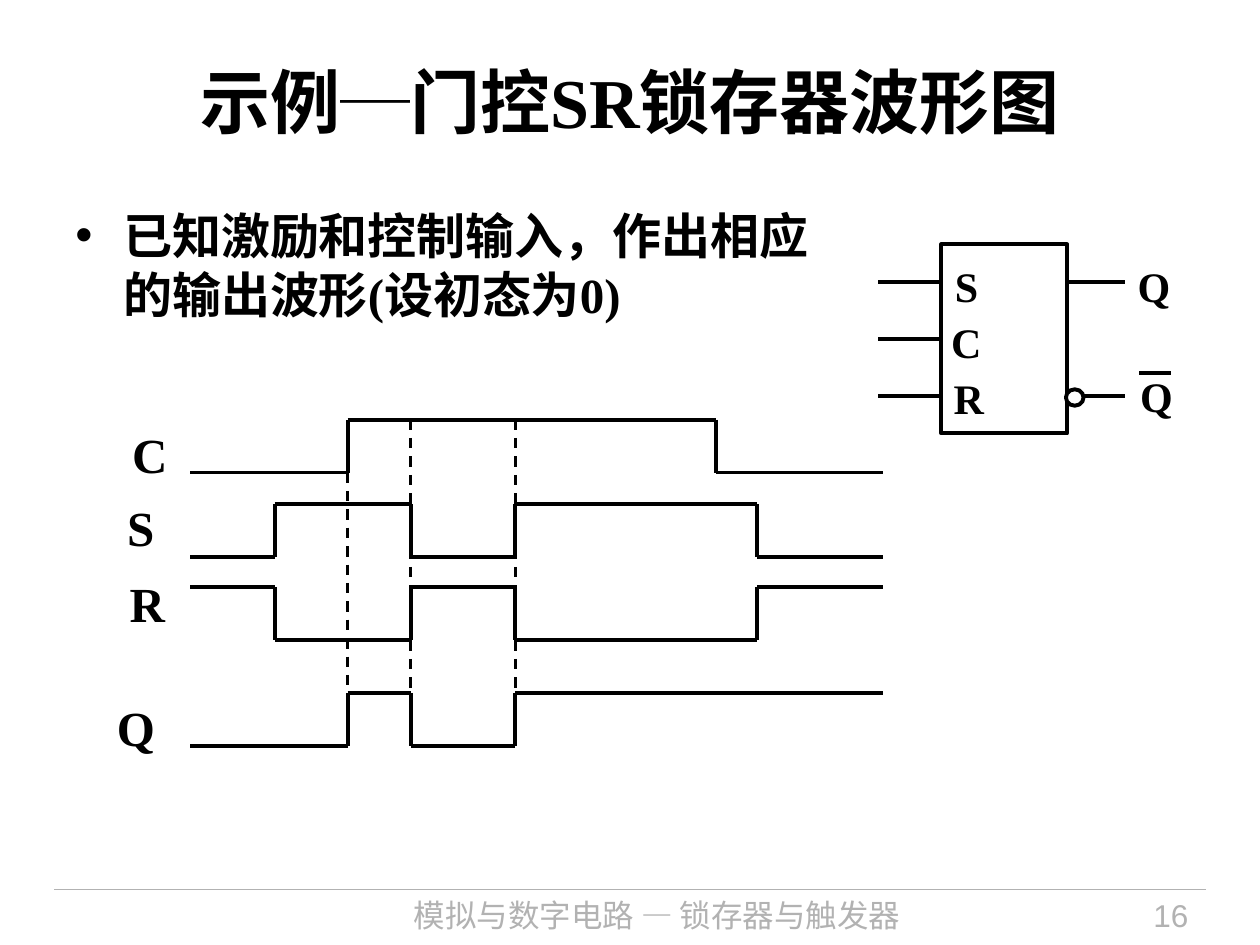
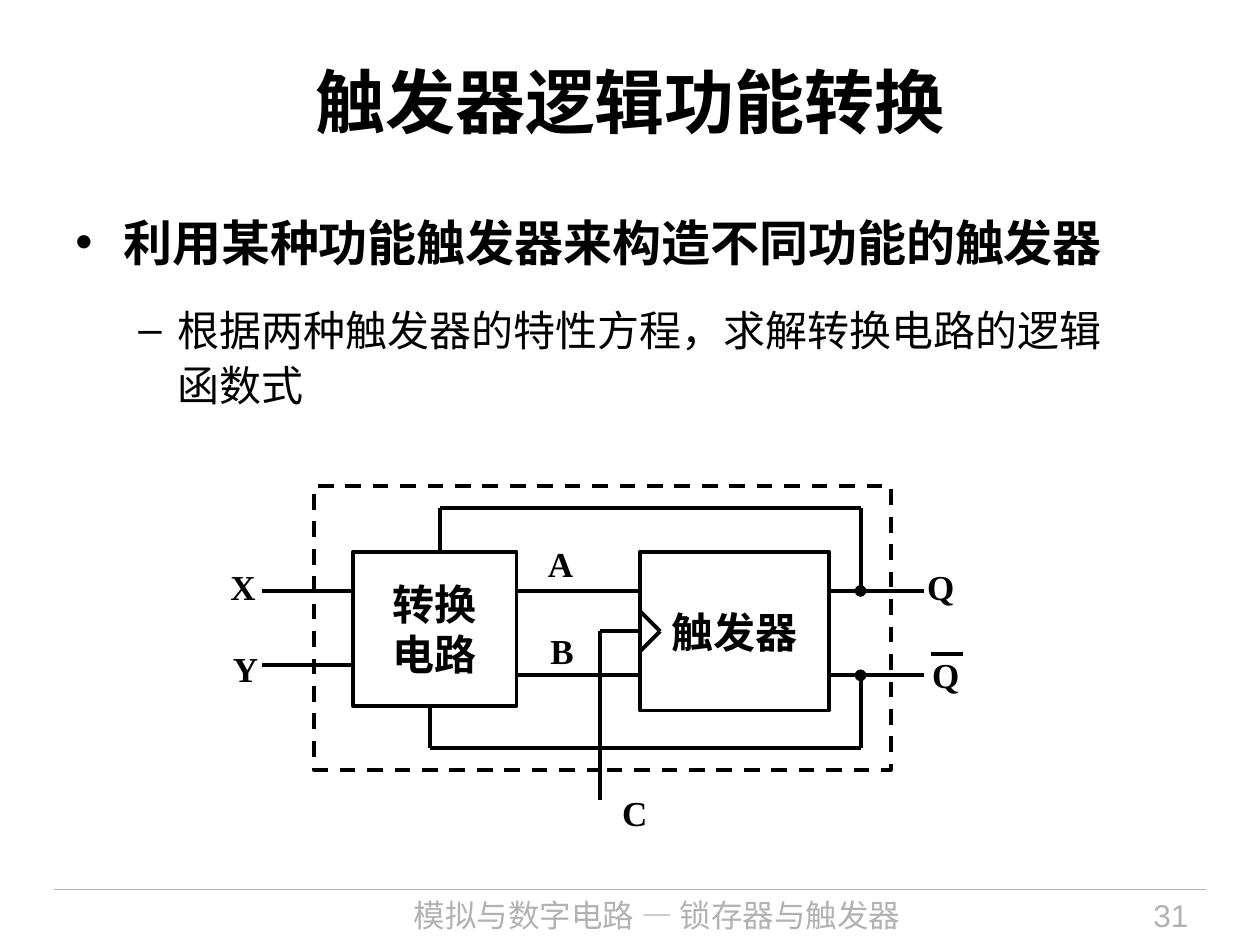
from pptx import Presentation
from pptx.dml.color import RGBColor
from pptx.enum.dml import MSO_LINE
from pptx.enum.shapes import MSO_CONNECTOR, MSO_SHAPE
from pptx.enum.text import MSO_ANCHOR, MSO_AUTO_SIZE, PP_ALIGN
from pptx.oxml.ns import qn
from pptx.util import Inches, Pt
from lxml import etree

BLACK = RGBColor(0x00, 0x00, 0x00)
WHITE = RGBColor(0xFF, 0xFF, 0xFF)
GRAY = RGBColor(0xB2, 0xB2, 0xB2)
SERIF, SANS, CJK = "Times New Roman", "Arial", "Noto Sans CJK SC"
LEFT, CENTER, RIGHT = PP_ALIGN.LEFT, PP_ALIGN.CENTER, PP_ALIGN.RIGHT
MIDDLE, TOP = MSO_ANCHOR.MIDDLE, MSO_ANCHOR.TOP
RECT, OVAL = MSO_SHAPE.RECTANGLE, MSO_SHAPE.OVAL
DASH = MSO_LINE.DASH
FOOTER = "模拟与数字电路 — 锁存器与触发器"
# Letter widths in ems, for labels that fit their text
EMS = {"S": 0.56, "B": 0.67, "Q": 0.78}
WIDE_EM = 0.72


def write(p, text, size=28, font=SERIF, color=BLACK, bold=True, align=LEFT,
          bullet=None, indent=(0, 0), level=0, before=0, after=0, spacing=1.0):
    p.alignment, p.level = align, level
    p.space_before, p.space_after, p.line_spacing = Pt(before), Pt(after), spacing
    if bullet:
        pPr = p._p.get_or_add_pPr()
        pPr.set("marL", str(Inches(indent[0])))
        pPr.set("indent", str(Inches(indent[1])))
        etree.SubElement(pPr, qn("a:buFont")).set("typeface", SANS)
        etree.SubElement(pPr, qn("a:buChar")).set("char", bullet)
    r = p.add_run()
    r.text = text
    r.font.size, r.font.bold, r.font.name = Pt(size), bold, font
    r.font.color.rgb = color
    etree.SubElement(r._r.get_or_add_rPr(), qn("a:ea")).set("typeface", CJK)


def text_box(s, x, y, w, h, anchor=TOP, wrap=True):
    box = s.shapes.add_textbox(Inches(x), Inches(y), Inches(w), Inches(h))
    tf = box.text_frame
    tf.word_wrap, tf.vertical_anchor = wrap, anchor
    return tf


def label(s, letter, x, y, size):
    w = 0.2 + EMS.get(letter, WIDE_EM) * size / 72
    tf = text_box(s, x, y, w, 0.1 + 1.2 * size / 72, wrap=False)
    tf.auto_size = MSO_AUTO_SIZE.SHAPE_TO_FIT_TEXT
    write(tf.paragraphs[0], letter, size)


def wire(s, x1, y1, x2, y2, width=2.25, color=BLACK, dash=None, dot=False):
    c = s.shapes.add_connector(MSO_CONNECTOR.STRAIGHT, Inches(x1), Inches(y1),
                               Inches(x2), Inches(y2))
    c.line.width, c.line.color.rgb = Pt(width), color
    if dash:
        c.line.dash_style = dash
    if dot:
        etree.SubElement(c.line._get_or_add_ln(), qn("a:headEnd")).set("type", "oval")
    etree.SubElement(c._element.spPr, qn("a:effectLst"))
    return c


def polyline(s, points, dot=False):
    for i, (a, b) in enumerate(zip(points, points[1:])):
        wire(s, *a, *b, dot=dot and i == 0)


def block(s, x, y, w, h, kind=RECT, fill=None, dash=None, lines=()):
    sp = s.shapes.add_shape(kind, Inches(x), Inches(y), Inches(w), Inches(h))
    sp.shadow.inherit = False
    if fill is None:
        sp.fill.background()
    else:
        sp.fill.solid()
        sp.fill.fore_color.rgb = fill
    sp.line.width, sp.line.color.rgb = Pt(2.25), BLACK
    if dash:
        sp.line.dash_style = dash
    tf = sp.text_frame
    tf.word_wrap, tf.vertical_anchor = False, MIDDLE
    for i, text in enumerate(lines):
        p = tf.add_paragraph() if i else tf.paragraphs[0]
        write(p, text, 24, SANS, align=CENTER)
    return sp


def base_slide(prs, title, number):
    s = prs.slides.add_slide(prs.slide_layouts[6])
    wire(s, 0.43, 7.06, 9.57, 7.06, width=0.75, color=GRAY)
    tf = text_box(s, 2.4, 7.06, 5.63, 0.44)
    write(tf.paragraphs[0], FOOTER, 18, CJK, GRAY, False, CENTER)
    tf = text_box(s, 8.2, 7.06, 1.33, 0.44)
    write(tf.paragraphs[0], number, 18, SANS, GRAY, False, RIGHT)
    tf = text_box(s, 0.5, 0.17, 9, 1.25, MIDDLE)
    write(tf.paragraphs[0], title, 40, align=CENTER)
    return s


def timing_diagram(s, x, y):
    width, swing = 5.5, 0.42
    c_rise, fall, rise, c_fall = 1.25, 1.75, 2.58, 4.17
    s_edges = (0.67, fall, rise, 4.5)
    # Signal, top of the high level, starts high, edges, label offset
    signals = (
        ("C", 0, False, (c_rise, c_fall), (-0.56, -0.01)),
        ("S", 0.67, False, s_edges, (-0.6, -0.1)),
        ("R", 1.33, True, s_edges, (-0.58, -0.16)),
        ("Q", 2.17, False, (c_rise, fall, rise), (-0.68, -0.01)),
    )
    for name, top, high, edges, (dx, dy) in signals:
        level = y + top + (0 if high else swing)
        points = [(x, level)]
        for edge in edges:
            points.append((x + edge, level))
            high = not high
            level = y + top + (0 if high else swing)
            points.append((x + edge, level))
        polyline(s, points + [(x + width, level)])
        label(s, name, x + dx, y + top + dy, 28)
    # Dashed guides between edges
    for edge, start in ((c_rise, swing), (fall, 0), (rise, 0)):
        wire(s, x + edge, y + start, x + edge, y + 2.58, width=1.5, dash=DASH)


def latch_symbol(s, x, y):
    w, h, lead = 1, 1.5, 0.5
    body = block(s, x, y, w, h)
    # Inputs
    pins = (("S", 0.3, 0.01, 0.08), ("C", 0.75, -0.02, 0.52), ("R", 1.2, 0, 0.97))
    for name, pin, dx, dy in pins:
        lead_in = wire(s, x, y + pin, x - lead, y + pin)
        if pin == h / 2:
            lead_in.begin_connect(body, 1)
        label(s, name, x + dx, y + dy, 24)
    # Outputs, the lower one inverted
    wire(s, x + w, y + 0.3, x + 1.46, y + 0.3)
    wire(s, x + 1.08, y + 1.2, x + 1.46, y + 1.2)
    block(s, x + 0.99, y + 1.15, 0.14, 0.13, OVAL, WHITE)
    label(s, "Q", x + 1.46, y + 0.08, 24)
    label(s, "Q", x + 1.48, y + 0.95, 24)
    wire(s, x + 1.57, y + 1.02, x + 1.82, y + 1.02)


def conversion_circuit(s, x, y):
    block(s, x, y, 4.58, 2.25, dash=DASH)
    conv_l, conv_r, ff_l, ff_r = x + 0.31, x + 1.61, x + 2.59, x + 4.09
    top, conv_bottom, clock = y + 0.52, y + 1.74, y + 1.15
    q, nq, y_in = y + 0.83, y + 1.5, y + 1.42
    out, tap = x + 4.84, x + 4.34
    flip_flop = block(s, ff_l, top, ff_r - ff_l, 1.26, lines=["触发器"])
    block(s, conv_l, top, conv_r - conv_l, conv_bottom - top, fill=WHITE,
          lines=["转换", "电路"])
    # Inputs, inner signals and outputs
    for x1, x2, level in ((x - 0.41, conv_l, q), (x - 0.41, conv_l, y_in),
                          (conv_r, ff_l, q), (conv_r, ff_l, nq),
                          (ff_r, out, q), (ff_r, out, nq)):
        wire(s, x1, level, x2, level)
    # Feedback loops
    for level, rail, drop, end in ((q, y + 0.17, x + 1, top),
                                   (nq, y + 2.08, x + 0.92, conv_bottom)):
        polyline(s, [(tap, level), (tap, rail), (drop, rail), (drop, end)], dot=True)
    # Clock input
    polyline(s, [(ff_l, clock - 0.16), (ff_l + 0.16, clock), (ff_l, clock + 0.16)])
    clock_x = x + 2.27
    wire(s, clock_x, clock, ff_l, clock).end_connect(flip_flop, 1)
    wire(s, clock_x, clock, clock_x, y + 2.49)
    # Signal names
    for name, dx, dy in (("X", -0.76, 0.58), ("Y", -0.74, 1.23), ("A", 1.76, 0.4),
                         ("B", 1.78, 1.09), ("Q", 4.77, 0.58), ("Q", 4.81, 1.28),
                         ("C", 2.35, 2.37)):
        label(s, name, x + dx, y + dy, 20)
    wire(s, x + 4.9, y + 1.33, x + 5.15, y + 1.33)


def waveform_slide(prs):
    s = base_slide(prs, "示例─门控SR锁存器波形图", "16")
    tf = text_box(s, 0.5, 1.58, 6.19, 1.2)
    write(tf.paragraphs[0], "已知激励和控制输入，作出相应的输出波形(设初态为0)",
          bullet="•", indent=(0.38, -0.38), after=7)
    timing_diagram(s, 1.51, 3.33)
    latch_symbol(s, 7.47, 1.94)


def conversion_slide(prs):
    s = base_slide(prs, "触发器逻辑功能转换", "31")
    tf = text_box(s, 0.5, 1.59, 8.63, 1.78)
    write(tf.paragraphs[0], "利用某种功能触发器来构造不同功能的触发器",
          bullet="•", indent=(0.38, -0.38), after=7, spacing=1.1)
    write(tf.add_paragraph(), "根据两种触发器的特性方程，求解转换电路的逻辑函数式",
          24, bold=False, bullet="–", indent=(0.81, -0.31), level=1,
          before=9, after=6, spacing=1.1)
    conversion_circuit(s, 2.49, 3.86)


def main():
    prs = Presentation()
    prs.slide_width, prs.slide_height = Inches(10), Inches(7.5)
    waveform_slide(prs)
    conversion_slide(prs)
    prs.save("out.pptx")


if __name__ == "__main__":
    main()
